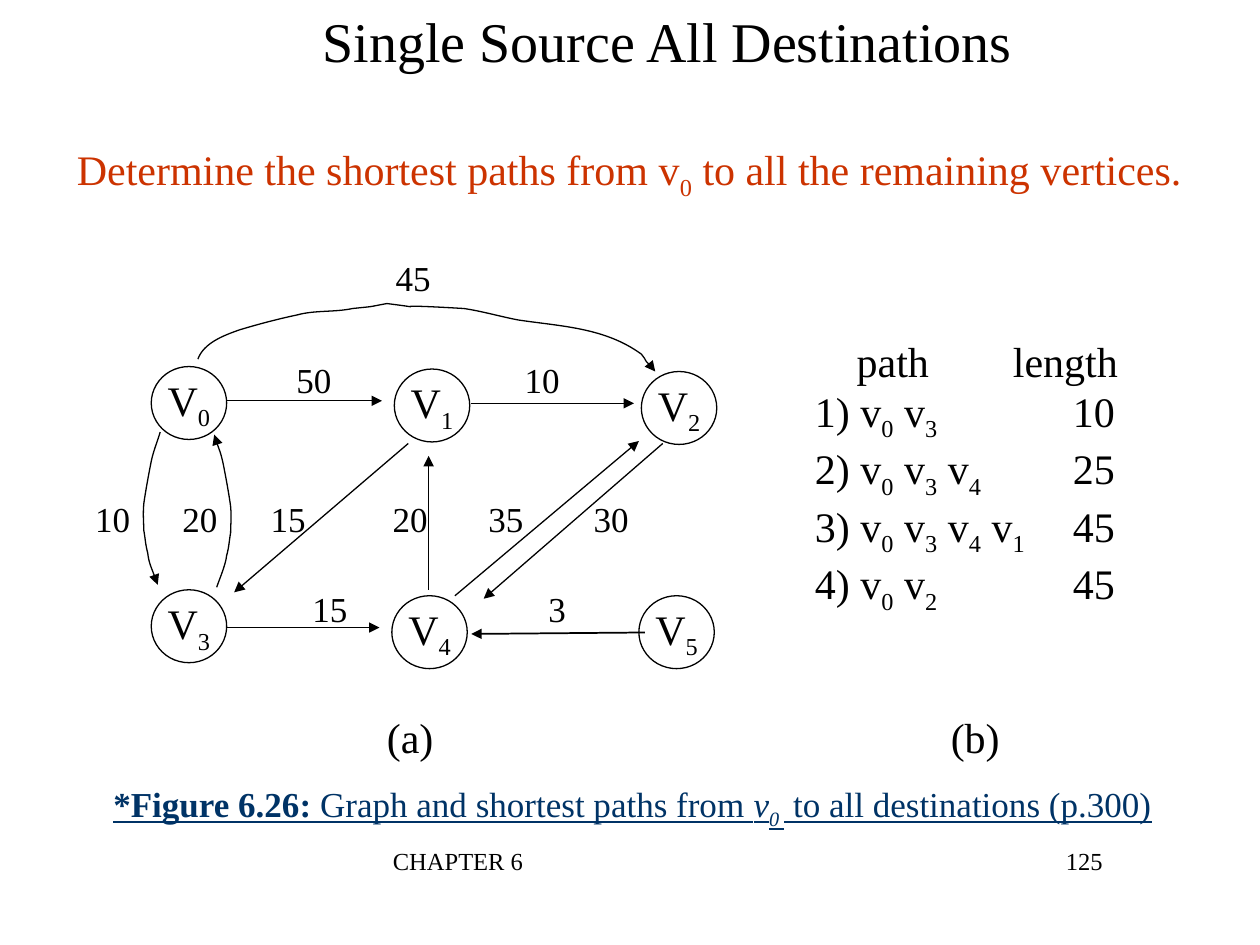
from lxml import etree
from pptx import Presentation
from pptx.dml.color import RGBColor
from pptx.enum.shapes import MSO_CONNECTOR, MSO_SHAPE
from pptx.enum.text import MSO_ANCHOR, PP_ALIGN
from pptx.oxml.ns import qn
from pptx.util import Cm, Pt

STRAIGHT = MSO_CONNECTOR.STRAIGHT
OVAL = MSO_SHAPE.OVAL
MIDDLE, TOP = MSO_ANCHOR.MIDDLE, MSO_ANCHOR.TOP
LEFT, CENTER, RIGHT = PP_ALIGN.LEFT, PP_ALIGN.CENTER, PP_ALIGN.RIGHT
FONT = "Times New Roman"
COLORS = {"ink": "000000", "paper": "FFFFFF", "task": "CC3300", "caption": "003366"}

NODES = [(3.05, 7.39), (7.95, 7.44), (12.93, 7.49),
         (3.05, 11.89), (7.9, 12.01), (12.88, 12.01)]
EDGES = [
    (4.57, 8.08, 7.7, 8.08), (9.5, 8.13, 12.78, 8.13), (4.57, 12.65, 7.65, 12.65),
    (13.36, 8.94, 9.75, 12.07), (9.17, 12.01, 12.88, 8.89),
    (8.64, 11.89, 8.64, 9.19), (8.23, 8.94, 4.72, 11.94),
]
WEIGHT_ROWS = [
    (5.6, [("45", 8.33)]),
    (7.66, [("50", 6.33), ("10", 10.93)]),
    (10.45, [("10", 2.27), ("20", 4.03), ("15", 5.81),
             ("20", 8.27), ("35", 10.2), ("30", 12.32)]),
    (12.26, [("15", 6.65), ("3", 11.23)]),
]
UPWARD_CURVE = [
    (4.32, 8.76), (4.37, 8.94), (4.45, 9.12), (4.5, 9.35), (4.55, 9.6), (4.62, 9.98),
    (4.65, 10.21), (4.67, 10.44), (4.65, 10.57), (4.65, 10.74), (4.62, 10.9),
    (4.62, 11.02), (4.57, 11.2), (4.55, 11.4), (4.39, 11.76), (4.37, 11.84),
]
DOWNWARD_CURVE = [(7.55 - x, y - 0.05) for x, y in UPWARD_CURVE]
TOP_CURVE = [
    (3.99, 7.24), (4.11, 6.91), (4.52, 6.76), (4.83, 6.65), (5.23, 6.53), (5.61, 6.43),
    (5.99, 6.35), (6.35, 6.25), (6.73, 6.3), (7.11, 6.22), (7.59, 6.17), (7.37, 6.2),
    (7.8, 6.12), (8.99, 6.27), (7.32, 6.1), (9.35, 6.22), (9.7, 6.27), (10.08, 6.38),
    (10.44, 6.45), (11.3, 6.58), (12.19, 6.6), (12.93, 7.14), (12.98, 7.19),
    (13.0, 7.24), (13.03, 7.29), (13.23, 7.49), (13.21, 7.32), (13.21, 7.49),
]
PATH_LINES = ["\tpath\tlength", "1) v_0_ v_3_\t10", "2) v_0_ v_3_ v_4_\t25",
              "3) v_0_ v_3_ v_4_ v_1_\t45", "4) v_0_ v_2_\t45"]


class GraphSlide:
    """Draws the elements of a graph slide in one style."""

    def __init__(self, page):
        self.page = page
        self.shapes = page.shapes

    def fill_para(self, para, text, size, color="ink", align=LEFT):
        para.alignment = align
        para.font.name, para.font.size = FONT, Pt(size)
        para.font.color.rgb = RGBColor.from_string(COLORS[color])
        for index, part in enumerate(text.split("_")):
            if part:
                span = para.add_run()
                span.text = part
                if index % 2:
                    self.lower_span(span)

    def lower_span(self, span):
        span._r.get_or_add_rPr().set("baseline", "-25000")

    def title(self, parts, left, top, width, height):
        box = self.shapes.title
        box.left, box.top, box.width, box.height = map(Cm, (left, top, width, height))
        box.text_frame.vertical_anchor = MIDDLE
        para = box.text_frame.paragraphs[0]
        self.fill_para(para, "", 20, "caption")
        para.font.underline = True
        for text, bold, italic, lowered in parts:
            span = para.add_run()
            span.text = text
            span.font.bold, span.font.italic = bold, italic
            if lowered:
                self.lower_span(span)

    def text(self, lines, left, top, width, height, size, color="ink",
             align=LEFT, anchor=MIDDLE, wrap=False, tabs=()):
        box = self.shapes.add_textbox(Cm(left), Cm(top), Cm(width), Cm(height))
        frame = box.text_frame
        frame.word_wrap, frame.vertical_anchor = wrap, anchor
        for index, line in enumerate(lines):
            para = frame.add_paragraph() if index else frame.paragraphs[0]
            if tabs:
                stops = etree.SubElement(para._p.get_or_add_pPr(), qn("a:tabLst"))
                for stop in tabs[min(index, len(tabs) - 1)]:
                    etree.SubElement(stops, qn("a:tab"), pos=str(Cm(stop)), algn="l")
            self.fill_para(para, line, size, color, align)

    def label(self, text, center, middle, size=20):
        self.text([text], center - 0.75, middle - 0.6, 1.5, 1.2, size, align=CENTER)

    def node(self, text, left, top):
        oval = self.shapes.add_shape(OVAL, Cm(left), Cm(top), Cm(1.52), Cm(1.47))
        oval.shadow.inherit = False
        oval.fill.solid()
        oval.fill.fore_color.rgb = RGBColor.from_string(COLORS["paper"])
        self.outline(oval)
        oval.text_frame.word_wrap = False
        oval.text_frame.vertical_anchor = MIDDLE
        self.fill_para(oval.text_frame.paragraphs[0], text, 24, align=CENTER)

    def outline(self, shape, width=0.75, arrow=None):
        shape.line.width = Pt(width)
        shape.line.color.rgb = RGBColor.from_string(COLORS["ink"])
        if arrow:
            line = shape._element.spPr.find(qn("a:ln"))
            etree.SubElement(line, qn(f"a:{arrow}"), type="triangle")

    def arrow(self, x1, y1, x2, y2, width=0.75):
        edge = self.shapes.add_connector(STRAIGHT, *map(Cm, (x1, y1, x2, y2)))
        self.outline(edge, width, "tailEnd")
        etree.SubElement(edge._element.spPr, qn("a:effectLst"))

    def curve(self, points, arrow="tailEnd"):
        start, *rest = [(Cm(x), Cm(y)) for x, y in points]
        builder = self.shapes.build_freeform(*start)
        builder.add_line_segments(rest, close=False)
        shape = builder.convert_to_shape()
        shape.shadow.inherit = False
        shape.fill.background()
        self.outline(shape, arrow=arrow)
        contour = shape._element.spPr.find(".//" + qn("a:path"))
        segments = contour.findall(qn("a:lnTo"))
        for index in range(0, len(segments), 3):
            bend = etree.SubElement(contour, qn("a:cubicBezTo"))
            for segment in segments[index:index + 3]:
                bend.append(segment[0])
                contour.remove(segment)


def main():
    deck = Presentation()
    deck.slide_width, deck.slide_height = Cm(25.4), Cm(19.05)
    slide = GraphSlide(deck.slides.add_slide(deck.slide_layouts[5]))

    slide.text(["CHAPTER 6"], 7.67, 16.94, 8.05, 1.27, 14, anchor=TOP, wrap=True)
    slide.text(["125"], 17.2, 16.94, 5.28, 1.27, 14, align=RIGHT, anchor=TOP, wrap=True)
    slide.title([("*Figure 6.26: ", True, False, False),
                 ("Graph and shortest paths from ", False, False, False),
                 ("v", False, True, False), ("0 ", False, True, True),
                 (" to all destinations (p.300)", False, False, False)],
                2.03, 15.54, 23.37, 1.45)
    slide.text(["Single Source All Destinations"], 6.22, 0, 14.48, 1.6, 32, align=CENTER)
    slide.text(["Determine the shortest paths from v_0_ to all the remaining vertices."],
               1.3, 2.84, 22.94, 1.27, 24, "task")

    for index, place in enumerate(NODES):
        slide.node(f"V_{index}_", *place)
    for edge in EDGES:
        slide.arrow(*edge)
    slide.arrow(13, 12.75, 9.5, 12.78, 1)
    slide.curve(UPWARD_CURVE, "headEnd")
    slide.curve(DOWNWARD_CURVE)
    slide.curve(TOP_CURVE)
    for middle, weights in WEIGHT_ROWS:
        for weight, center in weights:
            slide.label(weight, center, middle)

    slide.text(PATH_LINES, 16.18, 6.63, 6.86, 5.8, 24, anchor=TOP,
               tabs=[(0.84, 3.99), (5.2,)])
    slide.label("(a)", 8.27, 14.86, 24)
    slide.label("(b)", 19.66, 14.86, 24)
    deck.save("out.pptx")


if __name__ == "__main__":
    main()
